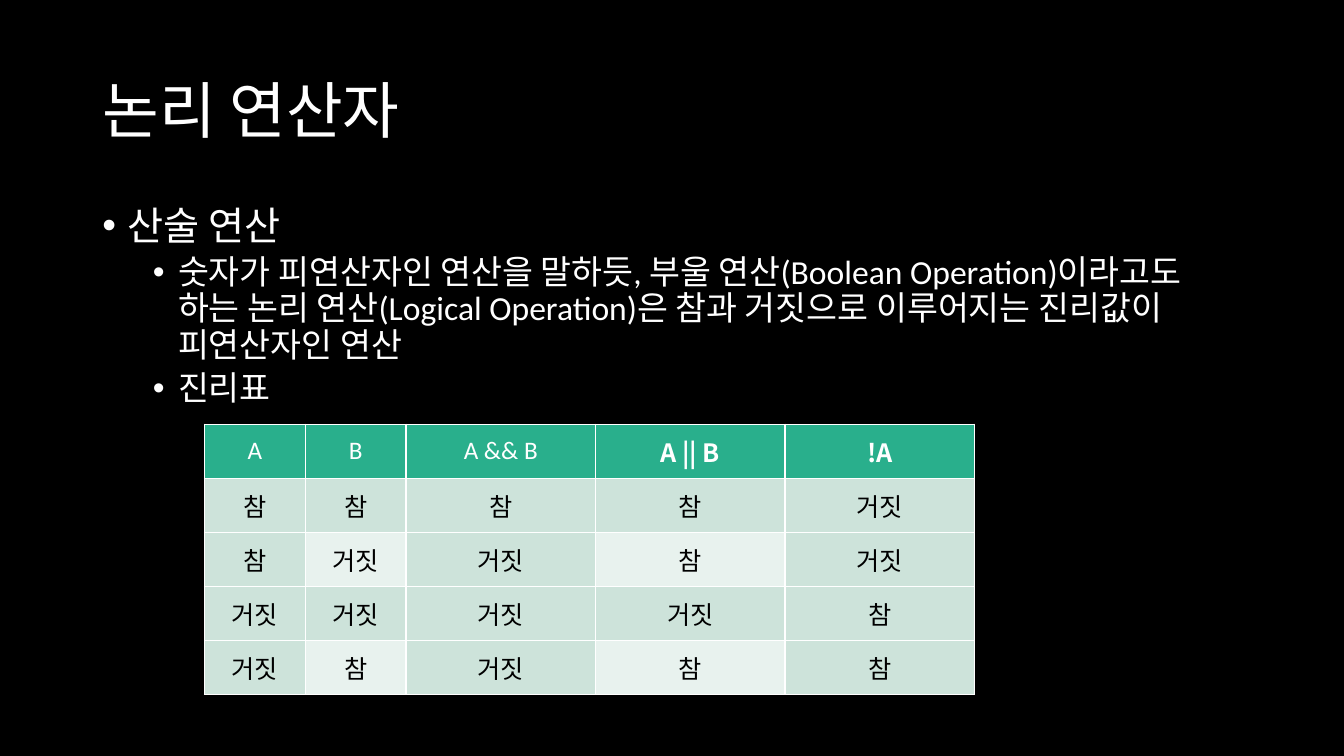
"""Build the slide on logical operators with its truth table."""
from lxml import etree
from pptx import Presentation
from pptx import util as u
from pptx.dml.color import RGBColor
from pptx.enum import text
from pptx.oxml import ns

BLACK = RGBColor(0x00, 0x00, 0x00)
WHITE = RGBColor(0xFF, 0xFF, 0xFF)
GREEN = RGBColor(0x29, 0xAF, 0x8C)
MINT = RGBColor(0xCD, 0xE3, 0xDA)
PALE = RGBColor(0xE8, 0xF2, 0xEE)


def place(holder, left, top, width, height):
    holder.left, holder.top = u.Pt(left), u.Pt(top)
    holder.width, holder.height = u.Pt(width), u.Pt(height)


def style(paragraph, size, color, name="Calibri", bold=False):
    font = paragraph.font
    font.size, font.name, font.bold = u.Pt(size), name, bold
    font.color.rgb = color


deck = Presentation()
deck.slide_width, deck.slide_height = u.Pt(960), u.Pt(540)
slide = deck.slides.add_slide(deck.slide_layouts[1])
slide.background.fill.solid()
slide.background.fill.fore_color.rgb = BLACK

heading = slide.shapes.title
place(heading, 66, 28.75, 828, 104.4)
heading.text_frame.text = "논리 연산자"
heading.text_frame.vertical_anchor = text.MSO_ANCHOR.MIDDLE
heading_line = heading.text_frame.paragraphs[0]
heading_line.alignment = text.PP_ALIGN.LEFT
heading_line.line_spacing = 0.9
style(heading_line, 44, WHITE)

explanation = slide.placeholders[1]
place(explanation, 66, 143.75, 828, 342.6)
points = [
    (0, 28, 18, 0, "산술 연산"),
    (1, 24, 54, 5, "숫자가 피연산자인 연산을 말하듯, 부울 연산(Boolean Operation)이라고도 하는 "
                   "논리 연산(Logical Operation)은 참과 거짓으로 이루어지는 진리값이 피연산자인 연산"),
    (1, 24, 54, 5, "진리표"),
]
explanation.text_frame.text = "\n".join(point[-1] for point in points)
for paragraph, (level, size, margin, before, _) in zip(explanation.text_frame.paragraphs, points):
    paragraph.level = level
    properties = paragraph._p.get_or_add_pPr()
    properties.set("marL", str(u.Pt(margin)))
    properties.set("indent", str(u.Pt(-18)))
    etree.SubElement(properties, ns.qn("a:buFont"), typeface="Arial")
    etree.SubElement(properties, ns.qn("a:buChar"), char="•")
    paragraph.line_spacing = 0.9
    paragraph.space_before = u.Pt(before)
    style(paragraph, size, WHITE)

truth_rows = [
    ["A", "B", "A && B", "A || B", "!A"],
    ["참", "참", "참", "참", "거짓"],
    ["참", "거짓", "거짓", "참", "거짓"],
    ["거짓", "거짓", "거짓", "거짓", "참"],
    ["거짓", "참", "거짓", "참", "참"],
]
column_widths = [72, 72, 135.4, 135.4, 135.4]
truth_table = slide.shapes.add_table(
    len(truth_rows), len(column_widths),
    u.Pt(146), u.Pt(303), u.Pt(sum(column_widths)), u.Pt(193)).table
truth_table.first_row = truth_table.horz_banding = False
for column, width in zip(truth_table.columns, column_widths):
    column.width = u.Pt(width)

for r, values in enumerate(truth_rows):
    truth_table.rows[r].height = u.Pt(38.6)
    for c, value in enumerate(values):
        cell = truth_table.cell(r, c)
        cell.text = value
        cell.vertical_anchor = text.MSO_ANCHOR.MIDDLE
        cell.margin_left = cell.margin_right = u.Pt(5)
        cell.margin_top = cell.margin_bottom = 0
        for side in ("lnL", "lnR", "lnT", "lnB"):
            border = etree.SubElement(cell._tc.get_or_add_tcPr(), ns.qn(f"a:{side}"), w=str(u.Pt(1)))
            paint = etree.SubElement(border, ns.qn("a:solidFill"))
            etree.SubElement(paint, ns.qn("a:srgbClr"), val=str(WHITE))
        banded = r in (2, 4) and c in (1, 3)
        cell.fill.solid()
        cell.fill.fore_color.rgb = GREEN if r == 0 else PALE if banded else MINT
        paragraph = cell.text_frame.paragraphs[0]
        paragraph.alignment = text.PP_ALIGN.CENTER
        strong = r == 0 and c >= 3
        style(paragraph, 18, BLACK if r else WHITE,
              "Noto Sans CJK KR" if strong else "Calibri", strong)

deck.save("out.pptx")
